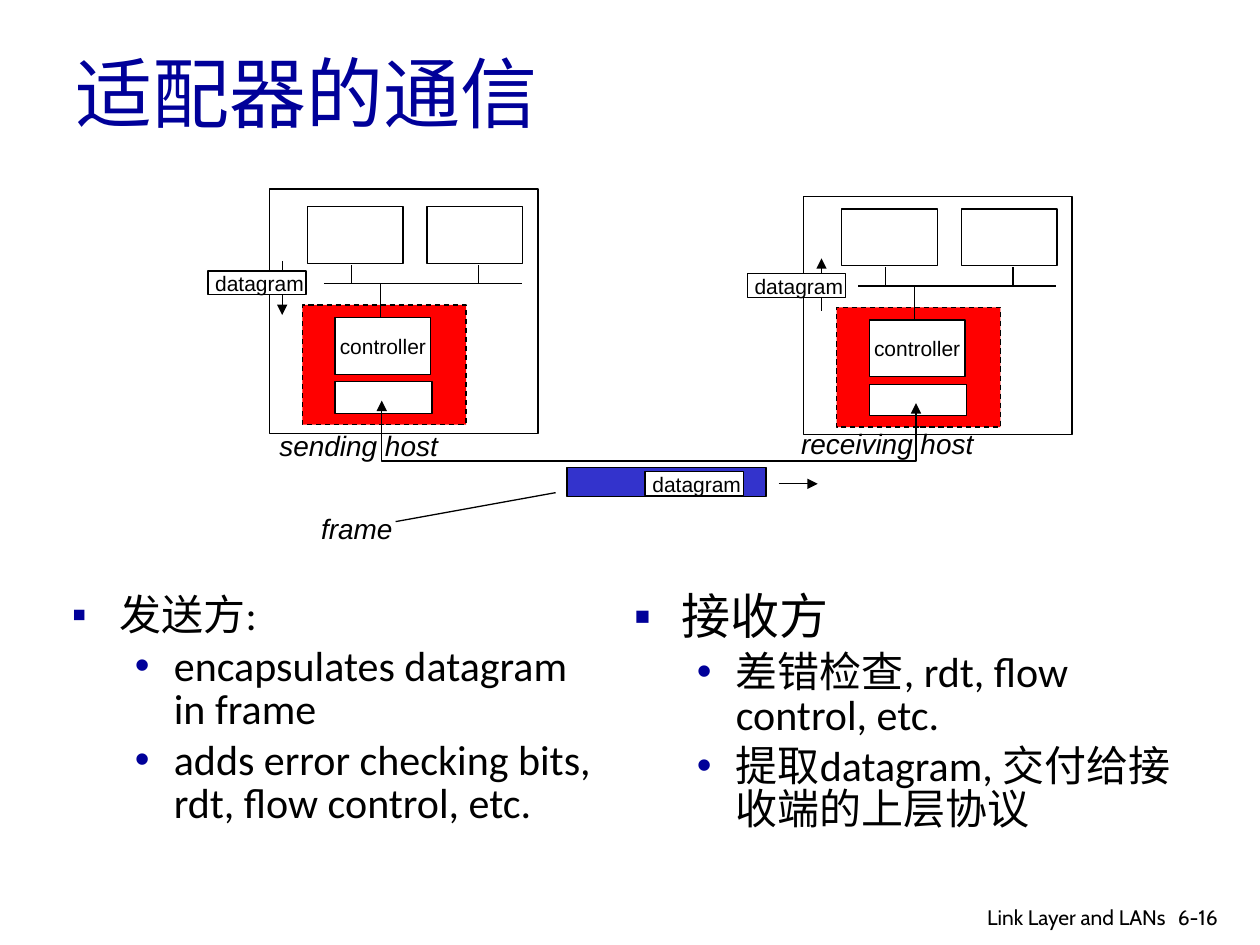
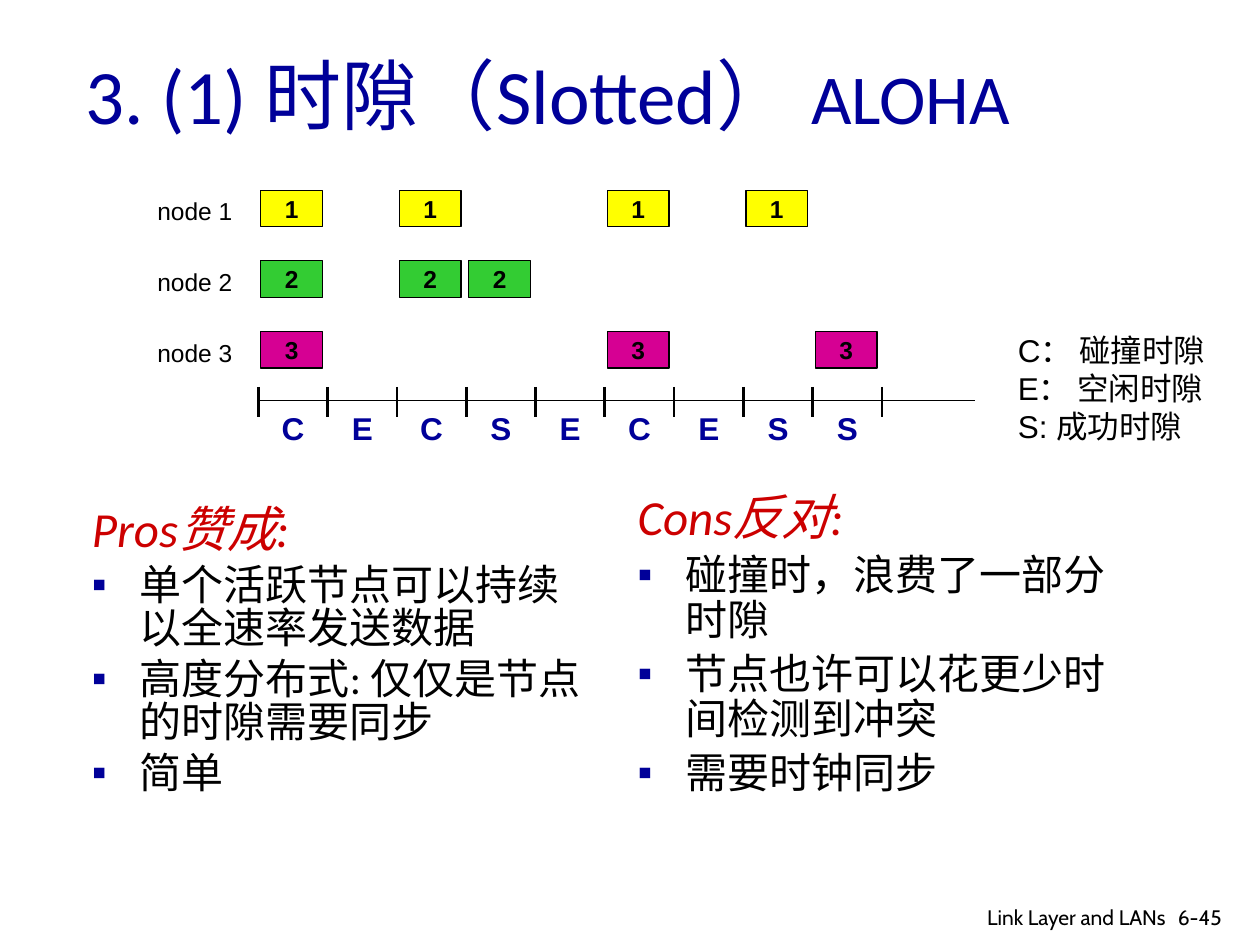
from lxml import etree
from pptx import Presentation
from pptx import util as u
from pptx.dml.color import RGBColor
from pptx.enum import dml, shapes, text
from pptx.oxml.ns import qn

COLORS = {
    "navy": "000099", "black": "000000", "white": "FFFFFF", "crimson": "CC0000",
    "adapter": "FF0000", "frame": "3333CC",
    "node1": "FFFF00", "node2": "33CC33", "node3": "D60093",
}
COLUMNS, ROWS = 100, 75
LEVELS = [("▪", 0.38, -0.38), ("•", 0.81, -0.31)]


def rgb(name):
    return RGBColor.from_string(COLORS[name])


class Deck:
    heading_font, label_font, footer_font = "Calibri", "Arial", "Cabin"

    def __init__(self):
        self.presentation = Presentation()
        self.presentation.slide_width = u.Inches(10)
        self.presentation.slide_height = u.Inches(7.5)
        self.slide = None

    def x(self, columns):
        return round(self.presentation.slide_width * columns / COLUMNS)

    def y(self, rows):
        return round(self.presentation.slide_height * rows / ROWS)

    def area(self, left, top, width, height):
        return self.x(left), self.y(top), self.x(width), self.y(height)

    def font(self, font, size, name, color="black", bold=False, italic=False):
        font.size, font.name = u.Pt(size), name
        font.bold, font.italic = bold, italic
        font.color.rgb = rgb(color)

    def new_slide(self, number):
        layout = self.presentation.slide_layouts[3]
        self.slide = self.presentation.slides.add_slide(layout)
        self.text("Link Layer and LANs", (69.7, 71.3, 23.8, 2.6), 12, self.footer_font,
                  align=text.PP_ALIGN.RIGHT)
        self.text(number, (92.5, 71.3, 6, 3), 12, self.footer_font)

    def place(self, placeholder, area):
        placeholder.left, placeholder.top, placeholder.width, placeholder.height = self.area(*area)
        placeholder.text_frame.auto_size = text.MSO_AUTO_SIZE.NONE
        return placeholder.text_frame

    def title(self, words, area, small_words=""):
        frame = self.place(self.slide.shapes.title, area)
        frame.vertical_anchor = text.MSO_ANCHOR.MIDDLE
        paragraph = frame.paragraphs[0]
        paragraph.alignment = text.PP_ALIGN.LEFT
        paragraph.add_run().text = words
        if small_words:
            run = paragraph.add_run()
            run.text = small_words
            run.font.size = u.Pt(40)
        self.font(paragraph.font, 44, self.heading_font, "navy")

    def bullet(self, paragraph, mark, margin, indent):
        properties = paragraph._p.get_or_add_pPr()
        properties.set("marL", str(u.Inches(margin)))
        properties.set("indent", str(u.Inches(indent)))
        if mark:
            color = etree.SubElement(properties, qn("a:buClr"))
            etree.SubElement(color, qn("a:srgbClr")).set("val", COLORS["navy"])
            etree.SubElement(properties, qn("a:buFont")).set("typeface", self.label_font)
            etree.SubElement(properties, qn("a:buChar")).set("char", mark)
        else:
            etree.SubElement(properties, qn("a:buNone"))

    def body(self, index, area, items, first_size=24, heading="", spacing=0.85):
        frame = self.place(self.slide.placeholders[index], area)
        entries = [(0, heading)] if heading else []
        for position, (level, words) in enumerate(entries + items):
            paragraph = frame.paragraphs[0] if position == 0 else frame.add_paragraph()
            paragraph.text, paragraph.level = words, level
            paragraph.line_spacing = spacing
            if position == 0:
                paragraph.space_before = u.Pt(0)
            is_heading = bool(heading) and position == 0
            mark, margin, indent = LEVELS[level]
            self.bullet(paragraph, "" if is_heading else mark, margin, indent)
            self.font(paragraph.font, 24 if position else first_size, self.heading_font,
                      "crimson" if is_heading else "black", italic=is_heading)

    def text(self, words, area, size, name=None, align=text.PP_ALIGN.LEFT, **style):
        frame = self.slide.shapes.add_textbox(*self.area(*area)).text_frame
        frame.word_wrap = True
        frame.text = words
        for paragraph in frame.paragraphs:
            paragraph.alignment = align
            self.font(paragraph.font, size, name or self.label_font, **style)

    def outline(self, line, weight=0.75, head=False, tail=False):
        line.color.rgb = rgb("black")
        line.width = u.Pt(weight)
        for tag, wanted in (("a:headEnd", head), ("a:tailEnd", tail)):
            if wanted:
                etree.SubElement(line._get_or_add_ln(), qn(tag)).set("type", "triangle")

    def box(self, area, fill="white", dashed=False, words="", size=12, bold=False):
        shape = self.slide.shapes.add_shape(shapes.MSO_SHAPE.RECTANGLE, *self.area(*area))
        shape.shadow.inherit = False
        shape.fill.solid()
        shape.fill.fore_color.rgb = rgb(fill)
        self.outline(shape.line)
        if dashed:
            shape.line.dash_style = dml.MSO_LINE.DASH
        if words:
            frame = shape.text_frame
            frame.text, frame.word_wrap = words, False
            frame.vertical_anchor = text.MSO_ANCHOR.MIDDLE
            paragraph = frame.paragraphs[0]
            paragraph.alignment = text.PP_ALIGN.CENTER
            self.font(paragraph.font, size, self.label_font, bold=bold)

    def line(self, start, end, weight=0.75, head=False, tail=False):
        connector = self.slide.shapes.add_connector(
            shapes.MSO_CONNECTOR.STRAIGHT,
            self.x(start[0]), self.y(start[1]), self.x(end[0]), self.y(end[1]))
        self.outline(connector.line, weight, head, tail)
        etree.SubElement(connector._element.spPr, qn("a:effectLst"))

    def route(self, points):
        (start_x, start_y), *rest = [(self.x(column), self.y(row)) for column, row in points]
        builder = self.slide.shapes.build_freeform(start_x, start_y)
        builder.add_line_segments(rest, close=False)
        shape = builder.convert_to_shape()
        shape.shadow.inherit = False
        shape.fill.background()
        self.outline(shape.line, head=True, tail=True)

    def datagram(self, left, top):
        self.box((left, top, 7.8, 1.9))
        self.text("datagram", (left - 0.4, top - 0.5, 10, 3), 12)

    def host(self, left, top, case_top, case_height):
        self.box((left, case_top, 21.3, case_height))
        self.box((left + 2.6, top + 9.2, 13, 9.5), "adapter", dashed=True)
        self.box((left + 5.2, top + 15.3, 7.7, 2.5))
        self.box((left + 5.2, top + 10.2, 7.6, 4.5), words="controller")
        bus = top + 7.5
        self.line((left + 4.3, bus), (left + 20, bus))
        self.line((left + 8.8, top + 10.2), (left + 8.8, bus))
        for offset, stem in ((3, 6.5), (12.5, 16.6)):
            self.box((left + offset, top + 1.4, 7.6, 4.5))
            self.line((left + stem, bus), (left + stem, top + 6))


def adapter_slide(deck):
    deck.new_slide("6-16")
    deck.title("适配器的通信", (5, 1, 85, 12.5))
    deck.body(1, (4.7, 46.8, 44.5, 21.2), [
        (0, "发送方:"),
        (1, "encapsulates datagram in frame"),
        (1, "adds error checking bits, rdt, flow control, etc."),
    ])
    deck.body(2, (49.3, 46.7, 44.7, 20.2), [
        (0, "接收方"),
        (1, "差错检查, rdt, flow control, etc."),
        (1, "提取datagram, 交付给接收端的上层协议"),
    ], first_size=28)
    deck.host(21.4, 15, 15, 19.4)
    deck.host(63.8, 15.2, 15.6, 18.9)
    deck.line((22.4, 20.7), (22.4, 25), tail=True)
    deck.line((65.2, 20.5), (65.2, 24.7), head=True)
    deck.box((45, 37.1, 15.8, 2.3), "frame")
    for left, top in ((16.5, 21.5), (59.3, 21.7), (51.2, 37.4)):
        deck.datagram(left, top)
    for words, left, top, width in (
        ("sending host", 21.2, 33.5, 16),
        ("receiving host", 62.6, 33.4, 17),
        ("frame", 24.5, 40.1, 9),
    ):
        deck.text(words, (left, top, width, 3.7), 16, italic=True)
    deck.route([(30.3, 31.8), (30.3, 36.6), (72.7, 36.6), (72.7, 32)])
    deck.line((61.8, 38.4), (64.9, 38.4), tail=True)
    deck.line((31.4, 41.4), (44.1, 39.1))


def aloha_slide(deck):
    deck.new_slide("6-45")
    deck.title("3. (1) 时隙（Slotted） ", (5.8, 1.2, 92.6, 12.5), "ALOHA")
    deck.body(1, (6.3, 39.8, 41.7, 35), [
        (0, "单个活跃节点可以持续以全速率发送数据"),
        (0, "高度分布式: 仅仅是节点的时隙需要同步"),
        (0, "简单"),
    ], first_size=28, heading="Pros赞成:")
    deck.body(2, (49.6, 38.6, 41.7, 35), [
        (0, "碰撞时，浪费了一部分时隙"),
        (0, "节点也许可以花更少时间检测到冲突"),
        (0, "需要时钟同步"),
    ], first_size=28, heading="Cons反对:", spacing=0.9)

    outcomes = "CECSECESS"
    axis_left, slot_width, node_gap = 20.5, 5.5, 5.6
    sent_slots = {1: (0, 2, 5, 7), 2: (0, 2, 3), 3: (0, 5, 8)}
    for node, slots in sent_slots.items():
        top = 15.1 + (node - 1) * node_gap
        deck.text(f"node {node}", (11.5, top, 9, 3.3), 14)
        for slot in slots:
            deck.box((axis_left + 0.2 + slot * slot_width, top, 4.9, 2.9), f"node{node}",
                     words=str(node), size=14, bold=True)
    deck.line((axis_left, 31.8), (77.4, 31.8))
    for tick in range(len(outcomes) + 1):
        column = axis_left + tick * slot_width
        deck.line((column, 30.7), (column, 33.1), weight=1.5)
    for slot, outcome in enumerate(outcomes):
        deck.text(outcome, (axis_left + slot * slot_width, 32, slot_width, 4), 18,
                  align=text.PP_ALIGN.CENTER, color="navy", bold=True)
    deck.text("C： 碰撞时隙\nE： 空闲时隙\nS: 成功时隙", (79.8, 25.8, 20, 10.1), 18)


def main():
    deck = Deck()
    adapter_slide(deck)
    aloha_slide(deck)
    deck.presentation.save("out.pptx")


if __name__ == "__main__":
    main()
